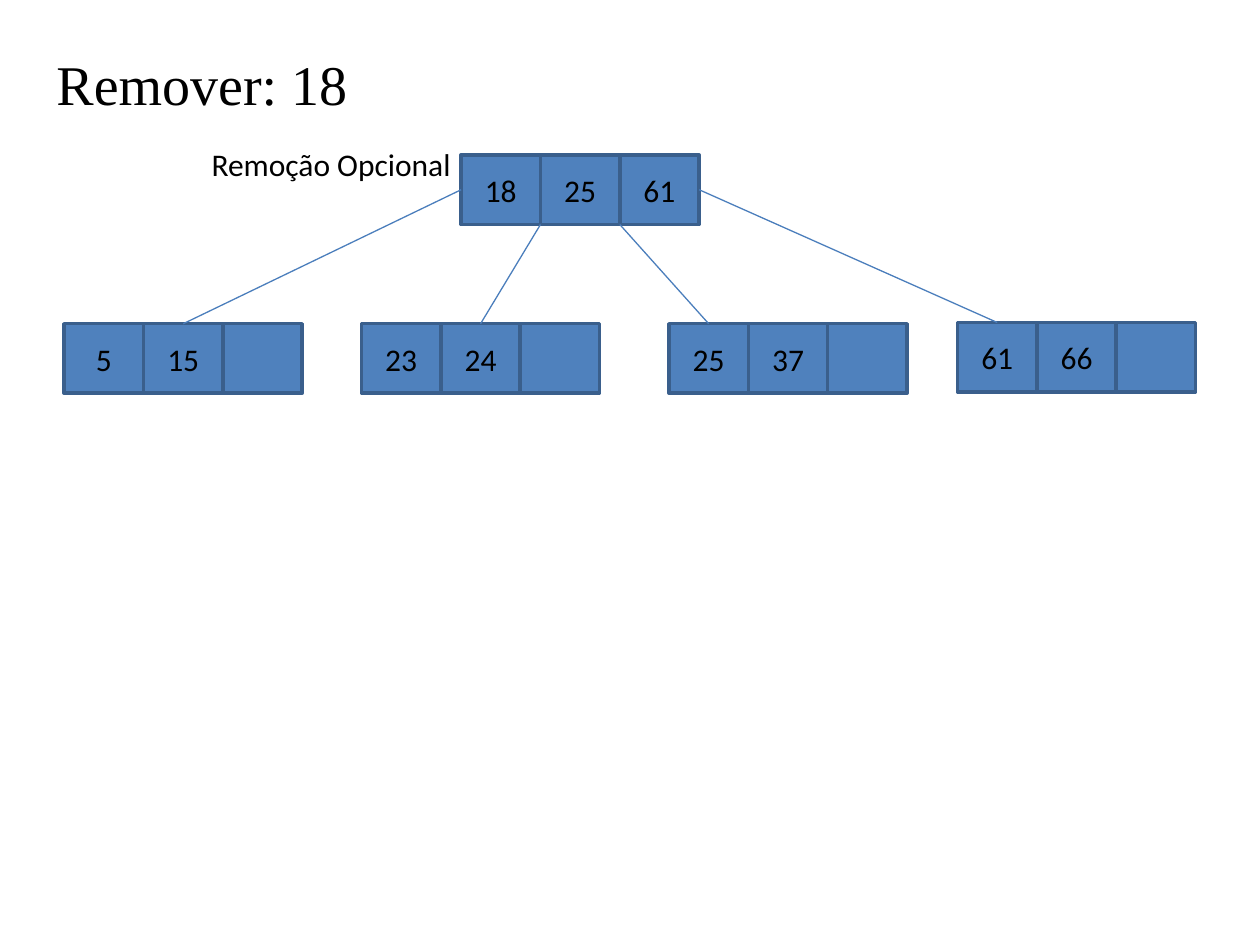
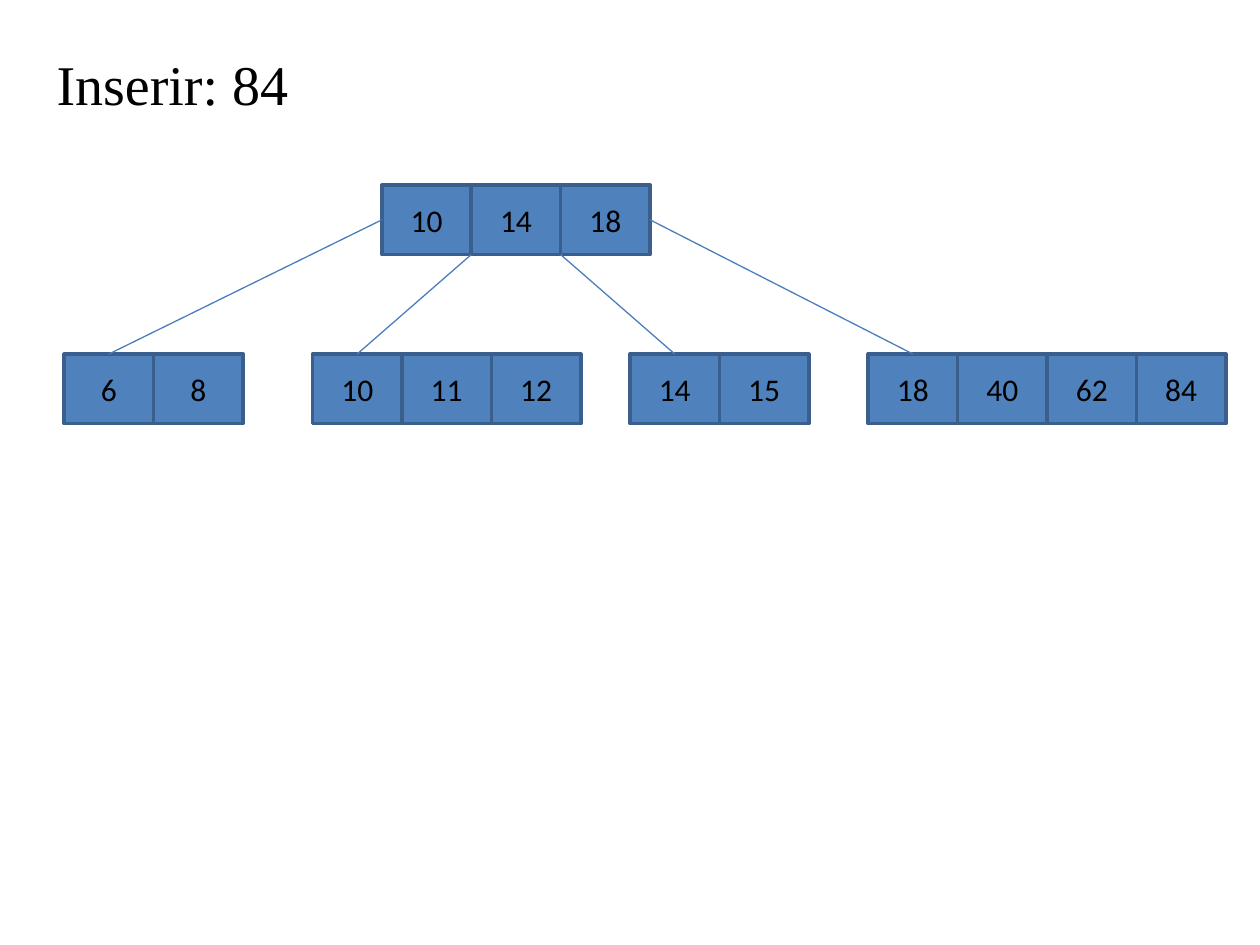
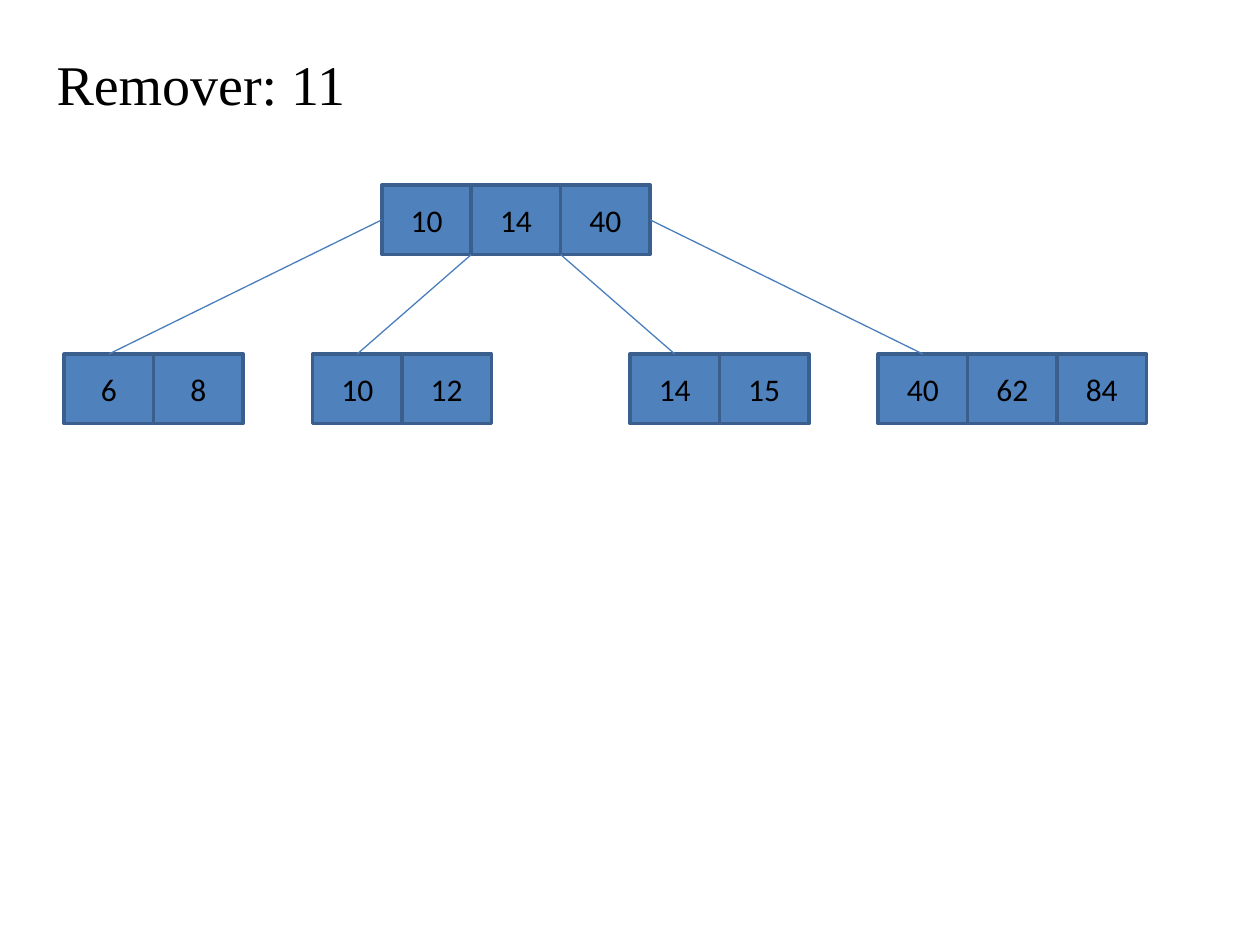
"""Build three slides that show insertion and removal in a B+ tree."""
from dataclasses import dataclass
from typing import Any

from lxml import etree
from pptx import Presentation
from pptx import util as u
from pptx.dml.color import RGBColor
from pptx.enum import shapes, text
from pptx.oxml import ns

Pt = u.Pt
CELL_FILL = RGBColor(0x4F, 0x81, 0xBD)
CELL_BORDER = RGBColor(0x3A, 0x5F, 0x8C)
BRANCH = RGBColor(0x4B, 0x7E, 0xBC)
INK = RGBColor(0, 0, 0)

CELL_HEIGHT = 39.7
TITLE_FONT = {"name": "Times New Roman", "size": Pt(32)}
KEY_FONT = {"name": "Calibri", "size": Pt(18)}
TITLE_FRAME = {"word_wrap": True, "margin_top": Pt(7.2)}
KEY_FRAME = {"word_wrap": True, "vertical_anchor": text.MSO_ANCHOR.MIDDLE}
REMARK_FRAME = {"word_wrap": True, "auto_size": text.MSO_AUTO_SIZE.SHAPE_TO_FIT_TEXT}


@dataclass(frozen=True)
class Node:
    """A row of keys; its branch arrives at the cell numbered entry."""
    left: float
    top: float
    keys: tuple[str, ...]
    entry: int = 0


@dataclass(frozen=True)
class Remark:
    """A short text beside the tree."""
    wording: str
    left: float
    top: float
    width: float
    height: float


@dataclass(frozen=True)
class TreeSlide:
    """A titled tree with one root and its leaves."""
    title: Remark
    cell_width: float
    root: Node
    leaves: tuple[Node, ...]
    remarks: tuple[Remark, ...] = ()


def apply(target: Any, values: dict[str, Any]) -> None:
    """Set each named attribute on the target."""
    for attribute, value in values.items():
        setattr(target, attribute, value)


def write(frame: Any, wording: str, frame_format: dict[str, Any],
          font: dict[str, Any], align: Any) -> None:
    """Fill a text frame with one formatted paragraph."""
    apply(frame, frame_format)
    paragraph = frame.paragraphs[0]
    paragraph.alignment = align
    run = paragraph.add_run()
    run.text = wording
    apply(run.font, font)
    run.font.color.rgb = INK


def draw_remark(slide: Any, remark: Remark, frame_format: dict[str, Any],
                font: dict[str, Any], align: Any) -> None:
    """Draw a text box."""
    box = slide.shapes.add_textbox(Pt(remark.left), Pt(remark.top),
                                   Pt(remark.width), Pt(remark.height))
    write(box.text_frame, remark.wording, frame_format, font, align)


def draw_node(slide: Any, node: Node, cell_width: float) -> None:
    """Draw the cells of a node side by side."""
    for column, key in enumerate(node.keys):
        cell = slide.shapes.add_shape(
            shapes.MSO_SHAPE.RECTANGLE, Pt(node.left + column * cell_width),
            Pt(node.top), Pt(cell_width), Pt(CELL_HEIGHT))
        cell.shadow.inherit = False
        cell.fill.solid()
        cell.fill.fore_color.rgb = CELL_FILL
        cell.line.color.rgb = CELL_BORDER
        cell.line.width = Pt(2)
        if key:
            write(cell.text_frame, key, KEY_FRAME, KEY_FONT, text.PP_ALIGN.CENTER)


def draw_branches(slide: Any, tree: TreeSlide) -> None:
    """Join the root's sides and key boundaries to the leaves."""
    root, last = tree.root, len(tree.leaves) - 1
    for position, leaf in enumerate(tree.leaves):
        drop = CELL_HEIGHT / 2 if position in (0, last) else CELL_HEIGHT
        branch = slide.shapes.add_connector(
            shapes.MSO_CONNECTOR.STRAIGHT,
            Pt(root.left + position * tree.cell_width), Pt(root.top + drop),
            Pt(leaf.left + (leaf.entry + 0.5) * tree.cell_width), Pt(leaf.top))
        branch.line.color.rgb = BRANCH
        branch.line.width = Pt(0.75)
        etree.SubElement(branch._element.spPr, ns.qn("a:effectLst"))


def draw_tree(slide: Any, tree: TreeSlide) -> None:
    """Draw the title, the tree and its remarks."""
    draw_remark(slide, tree.title, TITLE_FRAME, TITLE_FONT, text.PP_ALIGN.JUSTIFY)
    for node in (tree.root, *tree.leaves):
        draw_node(slide, node, tree.cell_width)
    draw_branches(slide, tree)
    for remark in tree.remarks:
        draw_remark(slide, remark, REMARK_FRAME, KEY_FONT, text.PP_ALIGN.LEFT)


def title(wording: str, width: float = 380.2, height: float = 73.4) -> Remark:
    """Place a title at the shared corner."""
    return Remark(wording, 25.2, 20.9, width, height)


def wide_tree(heading: str, root_keys: tuple[str, ...], *leaves: Node) -> TreeSlide:
    """Make a tree with wide cells and its root at the shared place."""
    return TreeSlide(title(heading), 51.1, Node(218.2, 105.8, root_keys), leaves)


UPPER_ROW, LOWER_ROW = 185, 202.3
LEAF_6 = Node(36.7, LOWER_ROW, ("6", "8"))
LEAF_14 = Node(360, LOWER_ROW, ("14", "15"))

TREES = (
    TreeSlide(
        title("Remover: 18", 324, 67.7), 45.35,
        Node(263.5, 88.6, ("18", "25", "61")),
        (Node(36.7, UPPER_ROW, ("5", "15", ""), 1),
         Node(206.6, UPPER_ROW, ("23", "24", ""), 1),
         Node(382.3, UPPER_ROW, ("25", "37", "")),
         Node(547.2, 184.3, ("61", "66", ""))),
        (Remark("Remoção Opcional", 113.8, 79.2, 158.4, 28.8),)),
    wide_tree("Inserir: 84", ("10", "14", "18"), LEAF_6,
              Node(178.6, LOWER_ROW, ("10", "11", "12")), LEAF_14,
              Node(496.1, LOWER_ROW, ("18", "40", "62", "84"))),
    wide_tree("Remover: 11", ("10", "14", "40"), LEAF_6,
              Node(178.6, LOWER_ROW, ("10", "12")), LEAF_14,
              Node(501.8, LOWER_ROW, ("40", "62", "84"))),
)


def main() -> None:
    """Build and save the presentation."""
    deck = Presentation()
    apply(deck, {"slide_width": Pt(720), "slide_height": Pt(540)})
    for tree in TREES:
        draw_tree(deck.slides.add_slide(deck.slide_layouts[6]), tree)
    deck.save("out.pptx")


if __name__ == "__main__":
    main()
